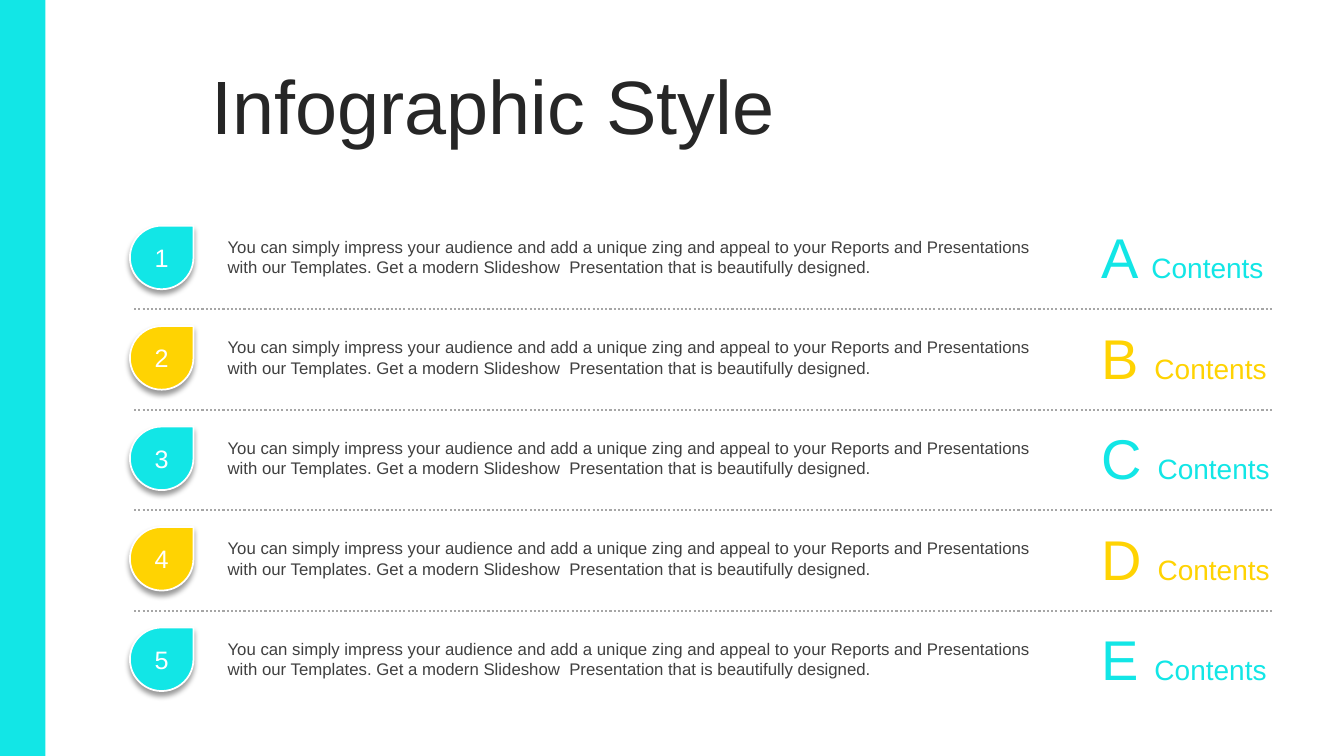
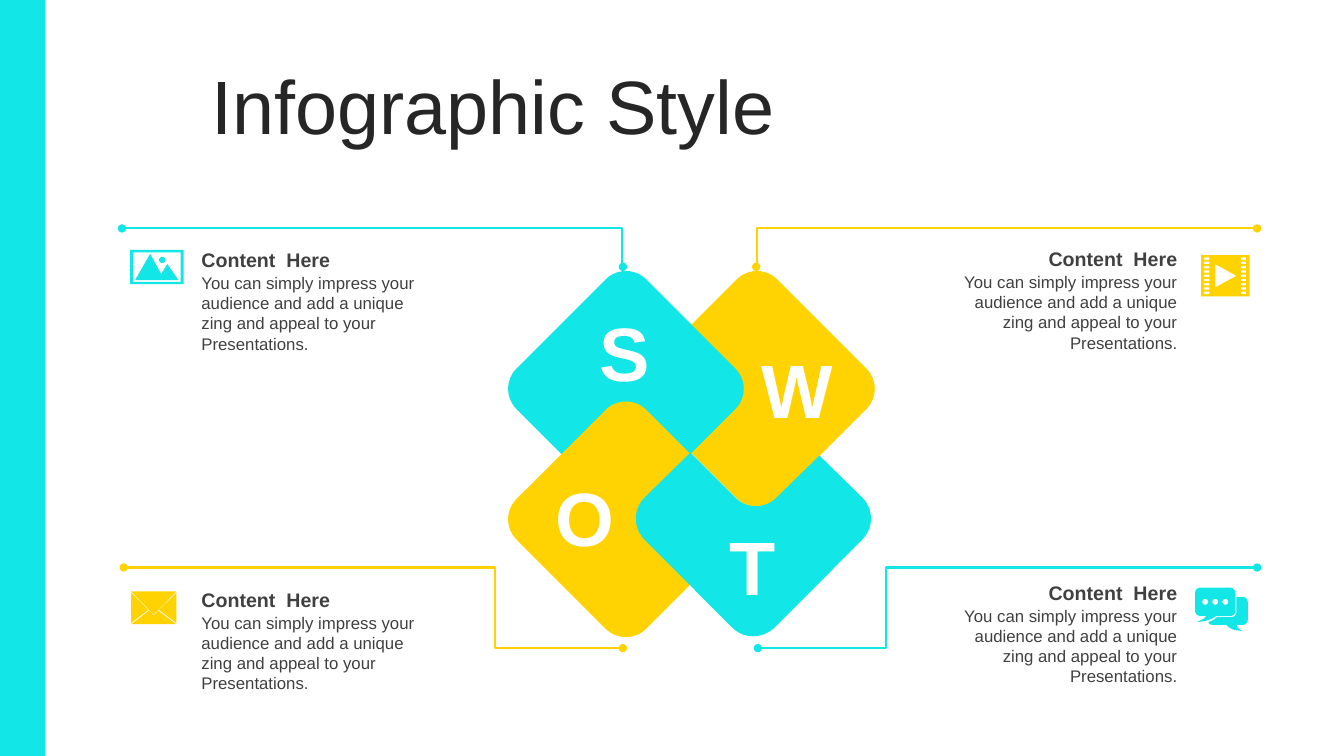
import math

import lxml.etree
import pptx
import pptx.dml.color
import pptx.enum.dml
import pptx.enum.shapes
import pptx.enum.text
import pptx.oxml.ns
import pptx.util

Pt = pptx.util.Pt
RGBColor = pptx.dml.color.RGBColor
PRESET = pptx.enum.shapes.MSO_SHAPE
CONNECTOR = pptx.enum.shapes.MSO_CONNECTOR
ALIGN = pptx.enum.text.PP_ALIGN
ANCHOR = pptx.enum.text.MSO_ANCHOR
qn = pptx.oxml.ns.qn

CYAN = RGBColor(0x12, 0xE6, 0xE6)
YELLOW = RGBColor(0xFF, 0xD3, 0x02)
WHITE = RGBColor(0xFF, 0xFF, 0xFF)
BLACK = RGBColor(0x00, 0x00, 0x00)
INK = RGBColor(0x26, 0x26, 0x26)
BODY = RGBColor(0x40, 0x40, 0x40)
RULE = RGBColor(0xA6, 0xA6, 0xA6)
FONT = "Arial"
WIDTH, HEIGHT = 960, 540

ROW_TEXT = (
    "You can simply impress your audience and add a unique zing and appeal to your "
    "Reports and Presentations with our Templates. Get a modern Slideshow  "
    "Presentation that is beautifully designed."
)
CAPTION_TEXT = (
    "You can simply impress your audience and add a unique zing and appeal to your "
    "Presentations."
)


def rectangle(left, top, width, height):
    right, bottom = left + width, top + height
    return [(left, top), (right, top), (right, bottom), (left, bottom)]


def circle(x, y, radius, steps=24):
    angles = [2 * math.pi * step / steps for step in range(steps)]
    return [(x + radius * math.cos(a), y + radius * math.sin(a)) for a in angles]


def curved(*segments, steps=10):
    points = []
    for segment in segments:
        if len(segment) == 2:
            points.append(segment)
            continue
        x0, y0 = points[-1]
        x1, y1, x2, y2, x3, y3 = segment
        for step in range(1, steps + 1):
            t = step / steps
            a, b, c, d = (1 - t) ** 3, 3 * t * (1 - t) ** 2, 3 * t * t * (1 - t), t ** 3
            points.append((a * x0 + b * x1 + c * x2 + d * x3,
                           a * y0 + b * y1 + c * y2 + d * y3))
    return points


NOTCHED_DIAMOND = [curved(
    (493.2, 323.3), (525.6, 355.7), (533.5, 363.6, 546.5, 363.6, 554.4, 355.7),
    (585.4, 325.4), (616.3, 355.7), (624.2, 364.3, 624.2, 376.6, 616.3, 385.2),
    (553, 448.6), (544.3, 456.5, 531.4, 456.5, 523.4, 448.6),
    (460.1, 385.2), (452.2, 376.6, 452.2, 364.3, 460.1, 355.7),
)]
PHOTO = [
    rectangle(0, 0, 38.2, 24.5),
    rectangle(2, 1.8, 34.2, 21),
    [(14.4, 2.9), (22.3, 17.3), (26.6, 10.1), (34.6, 21.6), (3.6, 21.6)],
    circle(23, 7.2, 2.2),
]
FILM = [
    rectangle(0, 0, 34.6, 29.5),
    [(10.1, 6.5), (25.2, 14.8), (10.1, 23)],
] + [rectangle(x, 1.7 + 3.05 * row, 3.6, 1.7) for x in (2.2, 28.5) for row in range(9)]
ENVELOPE = [
    [(0, 0), (32.4, 0), (16.2, 16.5)],
    [(19.4, 13.7), (32.4, 23.4), (0, 23.4), (13, 13.7), (16.2, 17.3)],
    [(32.4, 0.9), (32.4, 22.5), (20, 13.2)],
    [(0, 0.9), (12.4, 13.2), (0, 22.5)],
]
CHAT = [
    curved((3.8, 0), (25, 0), (27.1, 0, 28.8, 1.7, 28.8, 3.8),
           (28.8, 16.4), (28.8, 18.5, 27.1, 20.2, 25, 20.2),
           (15.1, 20.2), (11, 23, 8.6, 23.8, 1.4, 24.5),
           (5.8, 22.3, 6.5, 22.3, 7.9, 20.2),
           (3.8, 20.2), (1.7, 20.2, 0, 18.5, 0, 16.4),
           (0, 3.8), (0, 1.7, 1.7, 0, 3.8, 0)),
    curved((29.5, 6.5), (33.8, 6.5), (35.9, 6.5, 37.6, 8.2, 37.6, 10.3),
           (37.6, 22.8), (37.6, 24.9, 35.9, 26.6, 33.8, 26.6),
           (29.5, 26.6), (30.2, 28.1, 30.2, 29.5, 34.6, 31),
           (27.4, 30.2, 25.9, 30.2, 22.3, 26.6),
           (13, 26.6), (11, 26.6, 10, 25.9, 9.4, 24.5),
           (11.5, 23.8, 13.7, 23, 15.8, 20.9),
           (25.9, 20.9), (28, 20.9, 29.5, 19.4, 29.5, 17.3)),
] + [circle(x, 10.1, 2.1) for x in (7.2, 14.4, 21.6)]


class Deck:
    def __init__(self):
        self.presentation = pptx.Presentation()
        self.presentation.slide_width = Pt(WIDTH)
        self.presentation.slide_height = Pt(HEIGHT)
        self.slide = None

    def new_slide(self, title):
        self.slide = self.presentation.slides.add_slide(self.presentation.slide_layouts[6])
        self.shape(PRESET.RECTANGLE, 0, 0, 32.4, HEIGHT, CYAN)
        heading = self.text(144, 50.4, 786, 56.9, [(title, 54)], INK, anchor=ANCHOR.MIDDLE)
        paragraph = heading.text_frame.paragraphs[0]
        paragraph.line_spacing = 0.9
        paragraph.space_before = Pt(10)

    def paint(self, shape, fill):
        shape.shadow.inherit = False
        shape.fill.solid()
        shape.fill.fore_color.rgb = fill
        shape.line.fill.background()

    def shape(self, preset, left, top, width, height, fill):
        shape = self.slide.shapes.add_shape(preset, Pt(left), Pt(top), Pt(width), Pt(height))
        self.paint(shape, fill)
        return shape

    def style_runs(self, paragraph, parts, color, bold=False):
        for run, (_, size) in zip(paragraph.runs, parts):
            run.font.name = FONT
            run.font.size = Pt(size)
            run.font.bold = bold
            run.font.color.rgb = color

    def text(self, left, top, width, height, parts, color, bold=False,
             align=ALIGN.LEFT, anchor=ANCHOR.TOP):
        box = self.slide.shapes.add_textbox(Pt(left), Pt(top), Pt(width), Pt(height))
        box.text_frame.word_wrap = True
        box.text_frame.vertical_anchor = anchor
        paragraph = box.text_frame.paragraphs[0]
        paragraph.alignment = align
        for wording, _ in parts:
            paragraph.add_run().text = wording
        self.style_runs(paragraph, parts, color, bold)
        return box

    def number_drop(self, left, top, number, fill):
        drop = self.shape(PRESET.TEAR, left, top, 45.4, 45.4, fill)
        drop.line.color.rgb = WHITE
        drop.line.width = Pt(1.25)
        effects = drop._element.spPr.find(qn("a:effectLst"))
        shadow = lxml.etree.SubElement(
            effects, qn("a:outerShdw"), blurRad=str(Pt(4)), dist=str(Pt(3)),
            dir="5400000", algn="t", rotWithShape="0")
        tint = lxml.etree.SubElement(shadow, qn("a:srgbClr"), val=str(BLACK))
        lxml.etree.SubElement(tint, qn("a:alpha"), val="40000")
        frame = drop.text_frame
        frame.margin_left = frame.margin_right = 0
        frame.vertical_anchor = ANCHOR.MIDDLE
        frame.text = str(number)
        frame.paragraphs[0].alignment = ALIGN.CENTER
        self.style_runs(frame.paragraphs[0], [(number, 18)], WHITE)

    def line(self, kind, start, end, color):
        points = [Pt(value) for value in (*start, *end)]
        connector = self.slide.shapes.add_connector(kind, *points)
        connector.line.color.rgb = color
        connector.line.width = Pt(1.5)
        lxml.etree.SubElement(connector._element.spPr, qn("a:effectLst"))
        return connector

    def dotted_rule(self, top):
        rule = self.line(CONNECTOR.STRAIGHT, (95.8, top), (909.4, top), RULE)
        rule.line.dash_style = pptx.enum.dml.MSO_LINE.ROUND_DOT

    def callout(self, start, end, bend, color):
        properties = self.line(CONNECTOR.ELBOW, start, end, color)._element.spPr
        guides = properties.find(qn("a:prstGeom")).find(qn("a:avLst"))
        lxml.etree.SubElement(guides, qn("a:gd"), name="adj1", fmla=f"val {bend}")
        for tip in ("a:headEnd", "a:tailEnd"):
            lxml.etree.SubElement(properties.find(qn("a:ln")), qn(tip), type="oval")

    def outline(self, left, top, contours, fill):
        contours = [[(Pt(left + x), Pt(top + y)) for x, y in contour] for contour in contours]
        builder = self.slide.shapes.build_freeform(*contours[0][0])
        for index, contour in enumerate(contours):
            if index:
                builder.move_to(*contour[0])
            builder.add_line_segments(contour[1:], close=True)
        self.paint(builder.convert_to_shape(), fill)

    def diamond(self, left, top, fill):
        tile = self.shape(PRESET.ROUNDED_RECTANGLE, left, top, 131, 131, fill)
        tile.adjustments[0] = 0.156
        tile.rotation = 315

    def letter(self, left, top, initial):
        self.text(left, top, 85, 72.7, [(initial, 54)], WHITE, True, ALIGN.CENTER)

    def caption(self, left, top, align):
        self.text(left, top, 172, 24.5, [("Content  Here", 14)], BODY, True,
                  align, ANCHOR.MIDDLE)
        self.text(left, top + 17.8, 172, 65.5, [(CAPTION_TEXT, 12)], BODY, align=align)


def contents_slide(deck):
    deck.new_slide("Infographic Style")
    pitch = 71.75
    for row, initial in enumerate("ABCDE"):
        offset = row * pitch
        color = YELLOW if row % 2 else CYAN
        if row:
            deck.dotted_rule(221 + offset - pitch)
        deck.number_drop(92.8, 161.2 + offset, row + 1, color)
        deck.text(155.5, 165.6 + offset, 590.4, 36, [(ROW_TEXT, 12)], BODY)
        deck.text(779.8, 155.7 + offset, 136.8, 55.4,
                  [(initial + " ", 40), ("Contents", 20)], color)


def swot_slide(deck):
    deck.new_slide("Infographic Style")
    for left, top, color in ((475.2, 212.2, YELLOW), (381.6, 212.2, CYAN),
                             (381.6, 305.4, YELLOW)):
        deck.diamond(left, top, color)
    deck.outline(0, 0, NOTCHED_DIAMOND, CYAN)
    for left, top, initial in ((403.9, 215.3, "S"), (527, 241.2, "W"),
                               (375.1, 332.6, "O"), (495.4, 367.9, "T")):
        deck.letter(left, top, initial)
    for left, top, align in ((136.8, 173.5, ALIGN.LEFT), (136.8, 416, ALIGN.LEFT),
                             (676.1, 172.8, ALIGN.RIGHT), (676.1, 411.3, ALIGN.RIGHT)):
        deck.caption(left, top, align)
    for start, end, bend, color in (
        ((540.2, 190.6), (898, 163.2), 200, YELLOW),
        ((541.4, 463), (898, 405.4), 25700, CYAN),
        ((445, 190.6), (87.2, 163.2), 200, CYAN),
        ((445, 463), (88.4, 405.4), 25700, YELLOW),
    ):
        deck.callout(start, end, bend, color)
    for left, top, icon, color in ((93.6, 422.5, ENVELOPE, YELLOW), (853.7, 419.8, CHAT, CYAN),
                                   (92.9, 178.5, PHOTO, CYAN), (858, 182.2, FILM, YELLOW)):
        deck.outline(left, top, icon, color)


def main():
    deck = Deck()
    contents_slide(deck)
    swot_slide(deck)
    deck.presentation.save("out.pptx")


if __name__ == "__main__":
    main()
